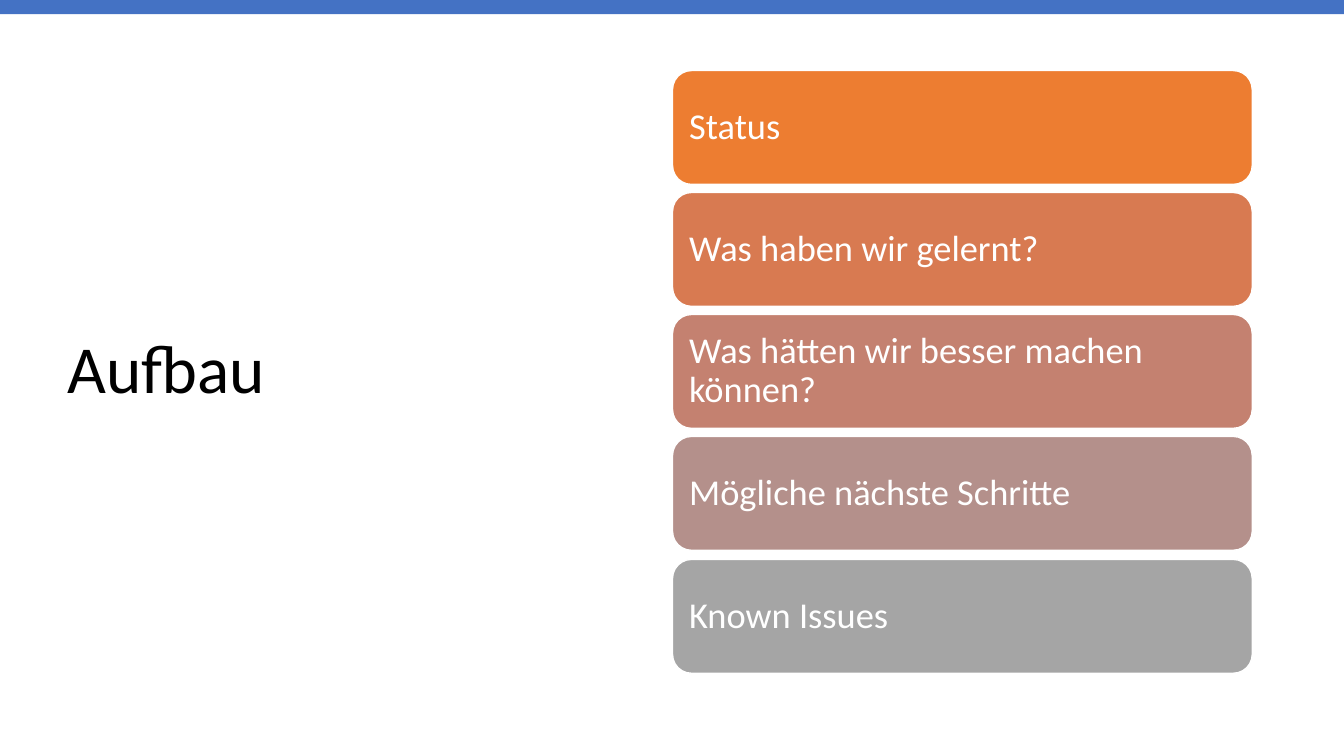
"""Build the agenda slide "Aufbau" with five coloured topic boxes."""
from pptx import Presentation
from pptx.dml.color import RGBColor
from pptx.enum.shapes import MSO_SHAPE
from pptx.enum.text import MSO_ANCHOR, MSO_AUTO_SIZE, PP_ALIGN
from pptx.util import Pt

PX = 9144
TOPICS = [
    ("Status", "ED7D31"),
    ("Was haben wir gelernt?", "D87A51"),
    ("Was hätten wir besser machen können?", "C48170"),
    ("Mögliche nächste Schritte", "B4908B"),
    ("Known Issues", "A5A5A5"),
]


def add_box(s, kind, left, top, width, height, color):
    """Add a filled shape without shadow or line."""
    sp = s.shapes.add_shape(kind, left * PX, top * PX, width * PX, height * PX)
    sp.shadow.inherit = False
    sp.fill.solid()
    sp.fill.fore_color.rgb = RGBColor.from_string(color)
    sp.line.fill.background()
    return sp


def set_text(sp, text, size, color):
    """Write one left-aligned, vertically centred paragraph."""
    tf = sp.text_frame
    tf.text = text
    tf.word_wrap = True
    tf.auto_size = MSO_AUTO_SIZE.NONE
    tf.vertical_anchor = MSO_ANCHOR.MIDDLE
    p = tf.paragraphs[0]
    p.alignment = PP_ALIGN.LEFT
    p.line_spacing = 0.9
    r = p.runs[0]
    r.font.name = "Calibri"
    r.font.size = Pt(size)
    r.font.color.rgb = RGBColor.from_string(color)


prs = Presentation()
prs.slide_width = 1333 * PX
prs.slide_height = 750 * PX
s = prs.slides.add_slide(prs.slide_layouts[5])

title = s.shapes.title
title.left, title.top, title.width, title.height = 57 * PX, 68 * PX, 567 * PX, 602 * PX
set_text(title, "Aufbau", 48, "000000")

add_box(s, MSO_SHAPE.RECTANGLE, 0, 0, 1333, 14, "4472C4")

for i, (topic, color) in enumerate(TOPICS):
    sp = add_box(s, MSO_SHAPE.ROUNDED_RECTANGLE, 667, 70 + i * 485 // 4, 575, 113, color)
    sp.line.color.rgb = RGBColor.from_string("FFFFFF")
    sp.line.width = Pt(1)
    set_text(sp, topic, 26, "FFFFFF")
    tf = sp.text_frame
    tf.margin_left = tf.margin_right = tf.margin_top = tf.margin_bottom = 11 * PX

prs.save("out.pptx")
